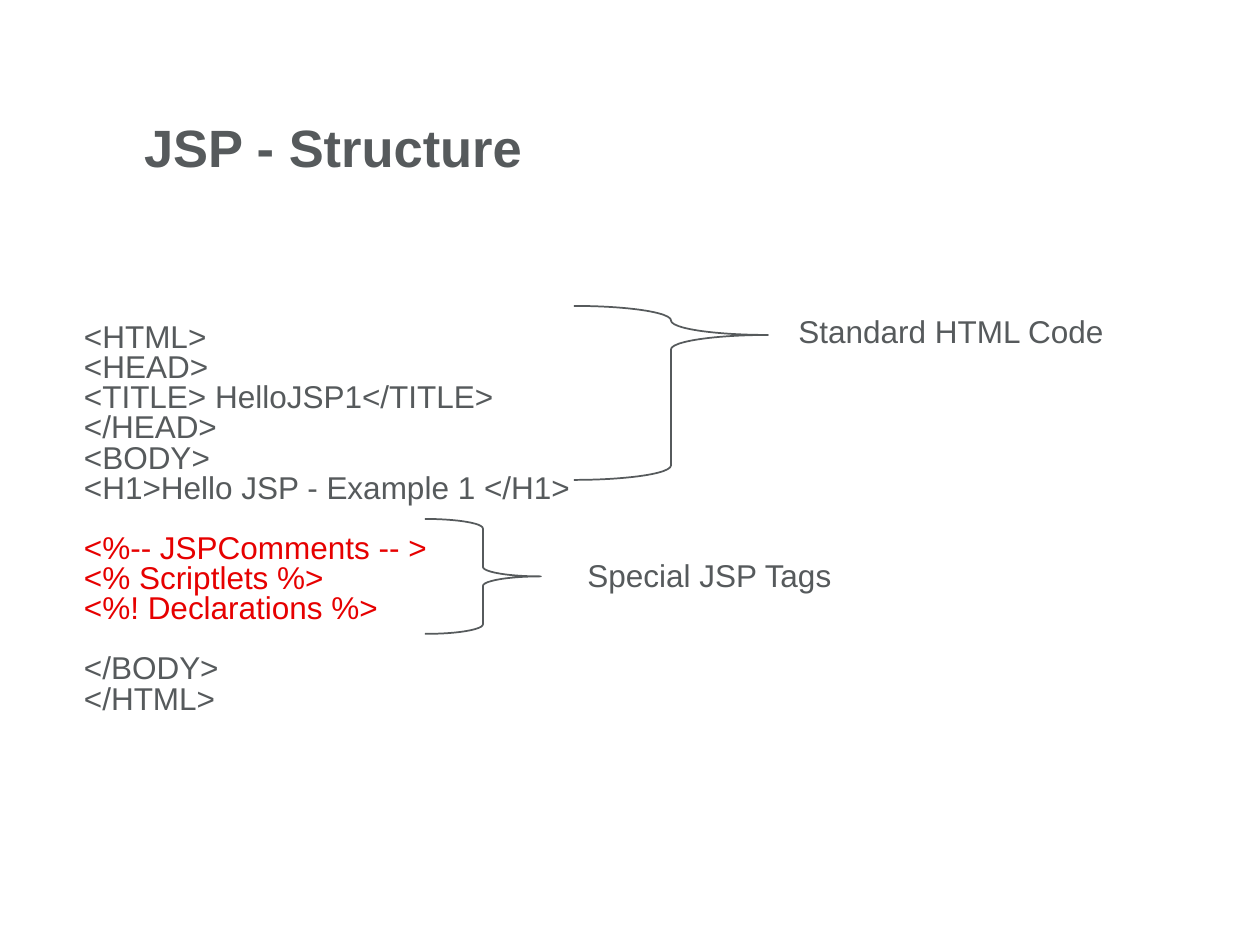
from pptx import Presentation
from pptx import util as u
from pptx.dml.color import RGBColor
from pptx.enum import shapes, text

GREY, RED, WHITE = "565A5C", "E60000", "FFFFFF"
FONT = "Arial"
SCALE = 914400 // 126
LINE_SPACING = 0.8
GROUP_GAP = 17

TITLE = ("JSP - Structure", (139, 106, 527, 82))
CODE_BOX = (84, 213, 683, 614)
CODE_GROUPS = [
    (GREY, ["<HTML>", "<HEAD>", "<TITLE> HelloJSP1</TITLE>", "</HEAD>",
            "<BODY>", "<H1>Hello JSP - Example 1 </H1>"]),
    (RED, ["<%-- JSPComments -- >", "<% Scriptlets %>", "<%! Declarations %>"]),
    (GREY, ["</BODY>", "</HTML>"]),
]
# Label, label box, brace box, height of the brace point
NOTES = [
    ("Standard HTML Code", (786, 306, 417, 63), (574, 306, 194, 174), 0.167),
    ("Special JSP Tags", (575, 550, 347, 63), (425, 519, 116, 115), 0.5),
]


def color(value):
    """Turn a hex string into a colour."""
    return RGBColor.from_string(value)


def place(box):
    """Turn a box in pixels into EMU."""
    return [u.Emu(length * SCALE) for length in box]


def add_run(paragraph, words, size=18, hue=GREY, bold=False):
    """Add one formatted run to a paragraph."""
    run = paragraph.add_run()
    run.text = words
    run.font.name, run.font.size, run.font.bold = FONT, u.Pt(size), bold
    run.font.color.rgb = color(hue)


def set_margins(frame, left=0):
    """Remove the frame margins, except for a left one in pixels."""
    frame.margin_left = u.Emu(left * SCALE)
    frame.margin_top = frame.margin_right = frame.margin_bottom = 0


def add_title(slide):
    """Move and format the title placeholder."""
    words, box = TITLE
    title = slide.shapes.title
    title.left, title.top, title.width, title.height = place(box)
    title.fill.solid()
    title.fill.fore_color.rgb = color(WHITE)
    frame = title.text_frame
    set_margins(frame, 5)
    frame.vertical_anchor = text.MSO_ANCHOR.MIDDLE
    paragraph = frame.paragraphs[0]
    paragraph.alignment = text.PP_ALIGN.LEFT
    add_run(paragraph, words, 30, bold=True)


def add_code(slide):
    """Add the code listing, with a gap before each later group."""
    frame = slide.shapes.add_textbox(*place(CODE_BOX)).text_frame
    frame.word_wrap = True
    frame.vertical_anchor = text.MSO_ANCHOR.MIDDLE
    set_margins(frame)
    paragraph = None
    for group, (hue, lines) in enumerate(CODE_GROUPS):
        for row, line in enumerate(lines):
            paragraph = frame.add_paragraph() if paragraph else frame.paragraphs[0]
            paragraph.alignment = text.PP_ALIGN.JUSTIFY
            paragraph.line_spacing = LINE_SPACING
            paragraph.space_before = u.Pt(GROUP_GAP if group and not row else 0)
            add_run(paragraph, line, hue=hue)


def add_note(slide, label, label_box, brace_box, point):
    """Add a brace and the label beside it."""
    brace = slide.shapes.add_shape(shapes.MSO_SHAPE.RIGHT_BRACE, *place(brace_box))
    brace.shadow.inherit = False
    brace.adjustments[0], brace.adjustments[1] = 0.083, point
    brace.fill.background()
    brace.line.color.rgb = color(GREY)
    brace.line.width = u.Pt(1)
    frame = slide.shapes.add_textbox(*place(label_box)).text_frame
    frame.word_wrap = True
    add_run(frame.paragraphs[0], label)


presentation = Presentation()
presentation.slide_width, presentation.slide_height = place((1260, 945))
slide = presentation.slides.add_slide(presentation.slide_layouts[5])
add_code(slide)
for note in NOTES:
    add_note(slide, *note)
add_title(slide)
presentation.save("out.pptx")
